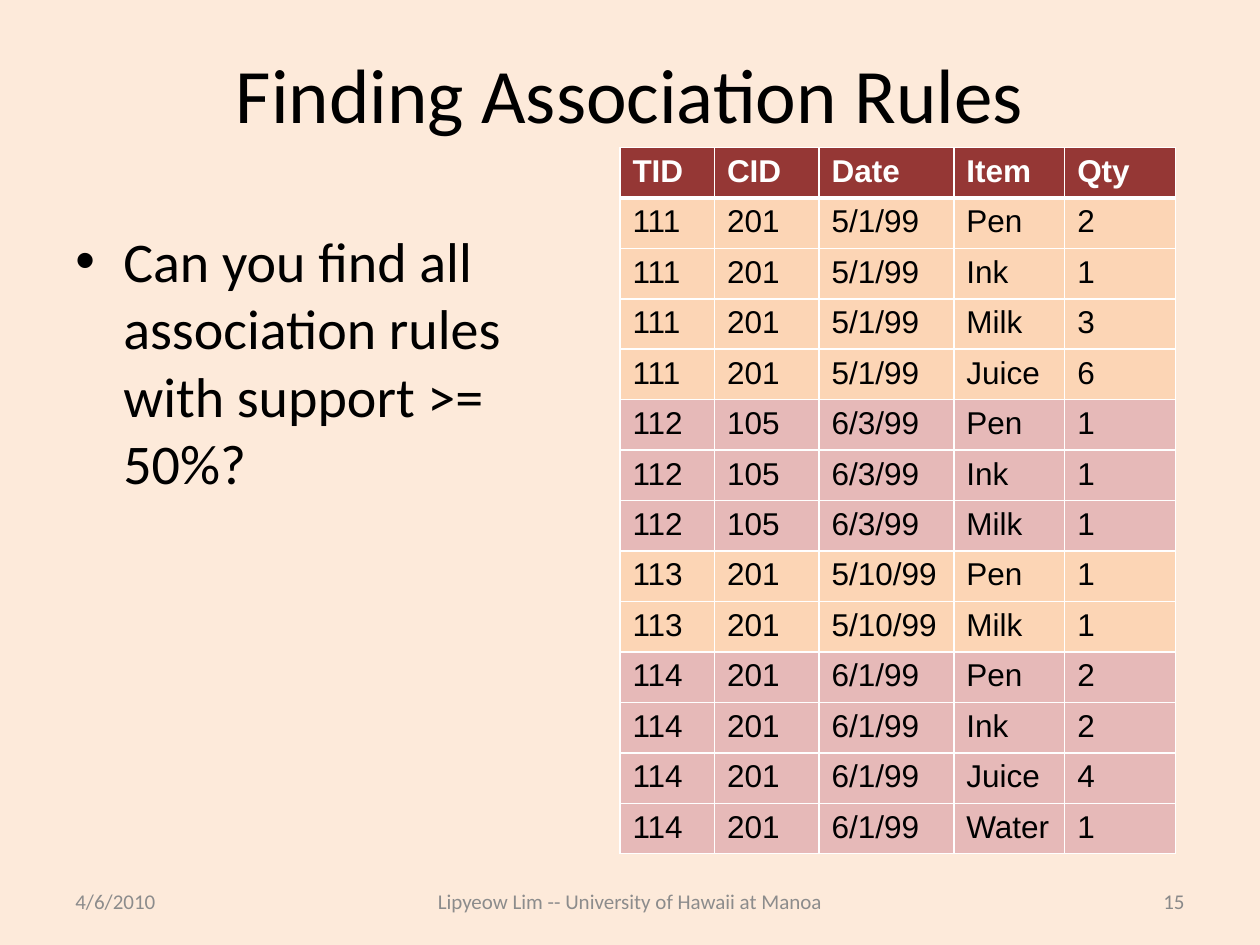
from lxml.etree import SubElement
from pptx import Presentation
from pptx.dml.color import RGBColor
from pptx.enum.text import MSO_ANCHOR, PP_ALIGN
from pptx.oxml.ns import qn
from pptx.util import Inches, Pt

HEADINGS = ["TID", "CID", "Date", "Item", "Qty"]
COLUMN_WIDTHS = [0.75, 0.83, 1.07, 0.88, 0.88]
ROW_HEIGHT = 0.4
# Each transaction: TID, CID, date, and its (item, quantity) pairs
TRANSACTIONS = [
    ("111", "201", "5/1/99", [("Pen", "2"), ("Ink", "1"), ("Milk", "3"), ("Juice", "6")]),
    ("112", "105", "6/3/99", [("Pen", "1"), ("Ink", "1"), ("Milk", "1")]),
    ("113", "201", "5/10/99", [("Pen", "1"), ("Milk", "1")]),
    ("114", "201", "6/1/99", [("Pen", "2"), ("Ink", "2"), ("Juice", "4"), ("Water", "1")]),
]
HEADER_FILL = "953735"
TRANSACTION_FILLS = ["FCD5B5", "E6B9B8"]


def set_fill(fill, color):
    fill.solid()
    fill.fore_color.rgb = RGBColor.from_string(color)


def add_span(para, text, size, font, color, bold=False):
    span = para.add_run()
    span.text = text
    span.font.size = Pt(size)
    span.font.name = font
    span.font.bold = bold
    span.font.color.rgb = RGBColor.from_string(color)


def add_bullet(para, indent):
    properties = para._p.get_or_add_pPr()
    properties.set("marL", str(Inches(indent)))
    properties.set("indent", str(-Inches(indent)))
    SubElement(properties, qn("a:buFont"), typeface="Arial")
    SubElement(properties, qn("a:buChar"), char="•")


def add_text(page, text, left, top, width, height, size, color="000000",
             align=PP_ALIGN.LEFT, anchor=MSO_ANCHOR.MIDDLE, bullet_indent=None):
    box = page.shapes.add_textbox(Inches(left), Inches(top), Inches(width), Inches(height))
    frame = box.text_frame
    frame.word_wrap = True
    frame.vertical_anchor = anchor
    para = frame.paragraphs[0]
    para.alignment = align
    if bullet_indent:
        add_bullet(para, bullet_indent)
    add_span(para, text, size, "Calibri", color)


def set_borders(cell, top, bottom):
    properties = cell._tc.get_or_add_tcPr()
    for side, width in (("L", 1), ("R", 1), ("T", top), ("B", bottom)):
        line = SubElement(properties, qn(f"a:ln{side}"), w=str(Pt(width)))
        solid = SubElement(line, qn("a:solidFill"))
        SubElement(solid, qn("a:srgbClr"), val="FFFFFF")


def add_transaction_table(page, left, top):
    rows = [(HEADINGS, HEADER_FILL)]
    for index, (tid, cid, date, purchases) in enumerate(TRANSACTIONS):
        fill = TRANSACTION_FILLS[index % 2]
        rows += [([tid, cid, date, item, quantity], fill) for item, quantity in purchases]

    table = page.shapes.add_table(
        len(rows), len(HEADINGS), Inches(left), Inches(top),
        Inches(sum(COLUMN_WIDTHS)), Inches(ROW_HEIGHT * len(rows))).table
    for column, width in zip(table.columns, COLUMN_WIDTHS):
        column.width = Inches(width)

    for row_index, (values, fill) in enumerate(rows):
        table.rows[row_index].height = Inches(ROW_HEIGHT)
        header = row_index == 0
        for column_index, value in enumerate(values):
            cell = table.cell(row_index, column_index)
            # A thick rule separates the header from the data
            set_borders(cell, top=3 if row_index == 1 else 1, bottom=3 if header else 1)
            set_fill(cell.fill, fill)
            add_span(cell.text_frame.paragraphs[0], value, 18, "Arial",
                     "FFFFFF" if header else "000000", bold=header)


def main():
    deck = Presentation()
    deck.slide_width, deck.slide_height = Inches(10), Inches(7.5)
    page = deck.slides.add_slide(deck.slide_layouts[6])
    set_fill(page.background.fill, "FDEADA")

    # Title and question
    add_text(page, "Finding Association Rules", 0.5, 0.3, 9, 0.87, 44, align=PP_ALIGN.CENTER)
    add_text(page, "Can you find all association rules with support >= 50%?",
             0.5, 1.75, 4.08, 4.95, 32, anchor=MSO_ANCHOR.TOP, bullet_indent=0.38)

    # Footer
    for text, left, width, align, color in (
            ("4/6/2010", 0.5, 2.33, PP_ALIGN.LEFT, "8C8C8C"),
            ("Lipyeow Lim -- University of Hawaii at Manoa", 3, 4, PP_ALIGN.CENTER, "8C8C8C"),
            ("15", 7.17, 2.33, PP_ALIGN.RIGHT, "898989")):
        add_text(page, text, left, 6.95, width, 0.4, 12, color, align)

    # Purchases
    add_transaction_table(page, 4.92, 1.17)
    deck.save("out.pptx")


if __name__ == "__main__":
    main()
